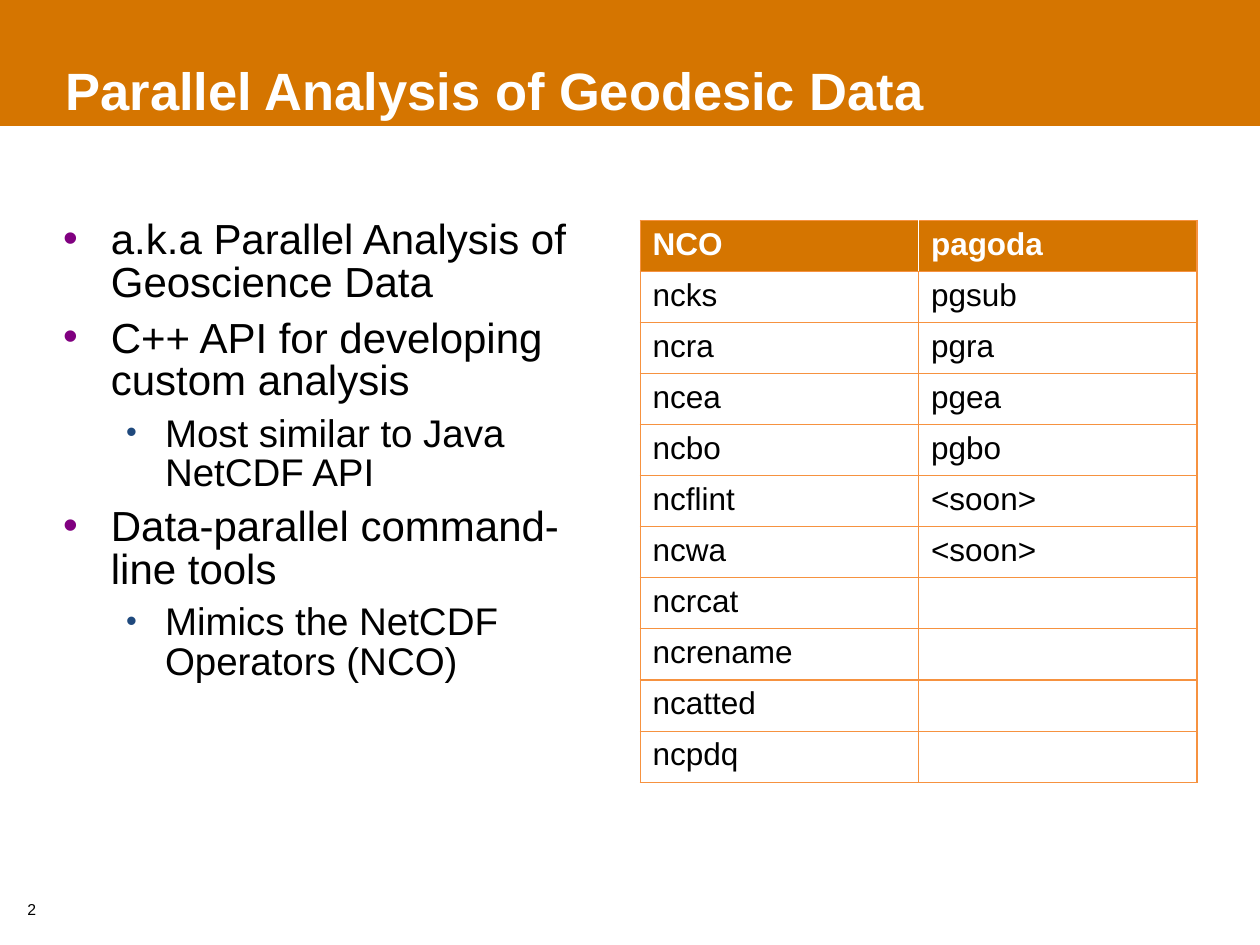
from lxml import etree
from pptx import Presentation
from pptx.dml.color import RGBColor
from pptx.enum.shapes import MSO_SHAPE
from pptx.enum.text import MSO_ANCHOR, MSO_AUTO_SIZE, PP_ALIGN
from pptx.oxml.ns import qn
from pptx.util import Inches, Pt

RECT = MSO_SHAPE.RECTANGLE
TOP, MIDDLE = MSO_ANCHOR.TOP, MSO_ANCHOR.MIDDLE
LEFT = PP_ALIGN.LEFT
NO_FIT = MSO_AUTO_SIZE.NONE

ORANGE = RGBColor(0xD5, 0x75, 0x00)
BORDER = RGBColor(0xF6, 0x92, 0x40)
PURPLE = RGBColor(0x80, 0x00, 0x80)
NAVY = RGBColor(0x1F, 0x49, 0x7D)
WHITE = RGBColor(0xFF, 0xFF, 0xFF)
BLACK = RGBColor(0x00, 0x00, 0x00)

WIDTH, HEIGHT = 10, 7.5
COLUMN_W, COLUMN_TOP, MARGIN = 4.42, 1.75, 0.5
TABLE_H = 4.46
LEVELS = [
    {"size": 24, "left": 0.38, "hang": 0.38, "color": PURPLE, "scale": 100},
    {"size": 22, "left": 0.81, "hang": 0.31, "color": NAVY, "scale": 80},
]
BULLETS = [
    (0, "a.k.a Parallel Analysis of Geoscience Data"),
    (0, "C++ API for developing custom analysis"),
    (1, "Most similar to Java NetCDF API"),
    (0, "Data-parallel command-line tools"),
    (1, "Mimics the NetCDF Operators (NCO)"),
]
TOOLS = [
    ("NCO", "pagoda"), ("ncks", "pgsub"), ("ncra", "pgra"), ("ncea", "pgea"),
    ("ncbo", "pgbo"), ("ncflint", "<soon>"), ("ncwa", "<soon>"), ("ncrcat", ""),
    ("ncrename", ""), ("ncatted", ""), ("ncpdq", ""),
]


def box(left, top, width, height):
    """Return a position and size in inches as lengths."""
    return [Inches(v) for v in (left, top, width, height)]


def set_attrs(obj, values):
    """Set each named attribute of an object."""
    for name, value in values.items():
        setattr(obj, name, value)


def add_child(parent, tag, **attrs):
    """Append a DrawingML element and return it."""
    child = etree.SubElement(parent, qn(tag))
    for name, value in attrs.items():
        child.set(name, str(value))
    return child


def write(p, text, size, color=BLACK, bold=False):
    """Put one formatted run in a paragraph."""
    p.alignment = LEFT
    r = p.add_run()
    r.text = text
    set_attrs(r.font, {"name": "Arial", "size": Pt(size), "bold": bold})
    r.font.color.rgb = color


def place(sp, bounds, anchor):
    """Move a placeholder and return its text frame without insets."""
    set_attrs(sp, dict(zip(("left", "top", "width", "height"), box(*bounds))))
    tf = sp.text_frame
    set_attrs(tf, {"margin_left": 0, "margin_top": 0, "margin_right": 0,
                   "margin_bottom": 0, "word_wrap": True,
                   "auto_size": NO_FIT, "vertical_anchor": anchor})
    return tf


def add_band(s):
    """Draw the coloured band behind the title."""
    sp = s.shapes.add_shape(RECT, *box(0, 0, WIDTH, 1))
    sp.shadow.inherit = False
    sp.fill.solid()
    sp.fill.fore_color.rgb = ORANGE
    sp.line.fill.background()
    s.shapes._spTree.insert(2, sp._element)


def add_title(s, text):
    """Fill the title placeholder."""
    p = place(s.shapes.title, (0.52, 0.5, 8.97, 0.5), MIDDLE).paragraphs[0]
    p.line_spacing = 0.85
    write(p, text, 30, WHITE, True)


def add_bullet(p, level, text):
    """Write one bulleted paragraph at a list level."""
    style = LEVELS[level]
    set_attrs(p, {"level": level, "line_spacing": 0.85})
    write(p, text, style["size"])
    pPr = p._p.get_or_add_pPr()
    pPr.set("marL", str(Inches(style["left"])))
    pPr.set("indent", str(-Inches(style["hang"])))
    add_child(add_child(pPr, "a:spcBef"), "a:spcPct", val=30000)
    add_child(add_child(pPr, "a:buClr"), "a:srgbClr", val=style["color"])
    add_child(pPr, "a:buSzPct", val=style["scale"] * 1000)
    add_child(pPr, "a:buFont", typeface="Arial")
    add_child(pPr, "a:buChar", char="•")


def add_list(s, items):
    """Fill the body placeholder with a two-level list."""
    tf = place(s.placeholders[1], (MARGIN, COLUMN_TOP, COLUMN_W, 4.43), TOP)
    for i, (level, text) in enumerate(items):
        p = tf.add_paragraph() if i else tf.paragraphs[0]
        add_bullet(p, level, text)


def add_borders(cell, sides):
    """Draw thin lines on the given sides of a cell."""
    tcPr = cell._tc.get_or_add_tcPr()
    for i, side in enumerate(sides):
        ln = etree.Element(qn(f"a:ln{side}"), w=str(Pt(0.75)))
        add_child(add_child(ln, "a:solidFill"), "a:srgbClr", val=BORDER)
        tcPr.insert(i, ln)


def add_tools_table(s, rows):
    """Add the table of matching tools under a coloured header."""
    left = WIDTH - MARGIN - COLUMN_W
    table = s.shapes.add_table(len(rows), len(rows[0]), *box(
        left, COLUMN_TOP, COLUMN_W, TABLE_H)).table
    table.horz_banding = False
    for i, row in enumerate(rows):
        for j, text in enumerate(row):
            cell = table.cell(i, j)
            header = i == 0
            cell.fill.solid()
            cell.fill.fore_color.rgb = ORANGE if header else WHITE
            if text:
                write(cell.text_frame.paragraphs[0], text, 18,
                      WHITE if header else BLACK, header)
            add_borders(cell, ("LTB", "RTB")[j] if header else "LRTB")


def add_page_number(s, number):
    """Write the page number at the lower left."""
    tf = s.shapes.add_textbox(*box(0.12, 7.09, 0.56, 0.4)).text_frame
    tf.word_wrap = True
    write(tf.paragraphs[0], number, 9)


def main():
    """Build the slide and save it."""
    prs = Presentation()
    set_attrs(prs, {"slide_width": Inches(WIDTH), "slide_height": Inches(HEIGHT)})
    s = prs.slides.add_slide(prs.slide_layouts[1])
    add_band(s)
    add_title(s, "Parallel Analysis of Geodesic Data")
    add_list(s, BULLETS)
    add_tools_table(s, TOOLS)
    add_page_number(s, "2")
    prs.save("out.pptx")


if __name__ == "__main__":
    main()
